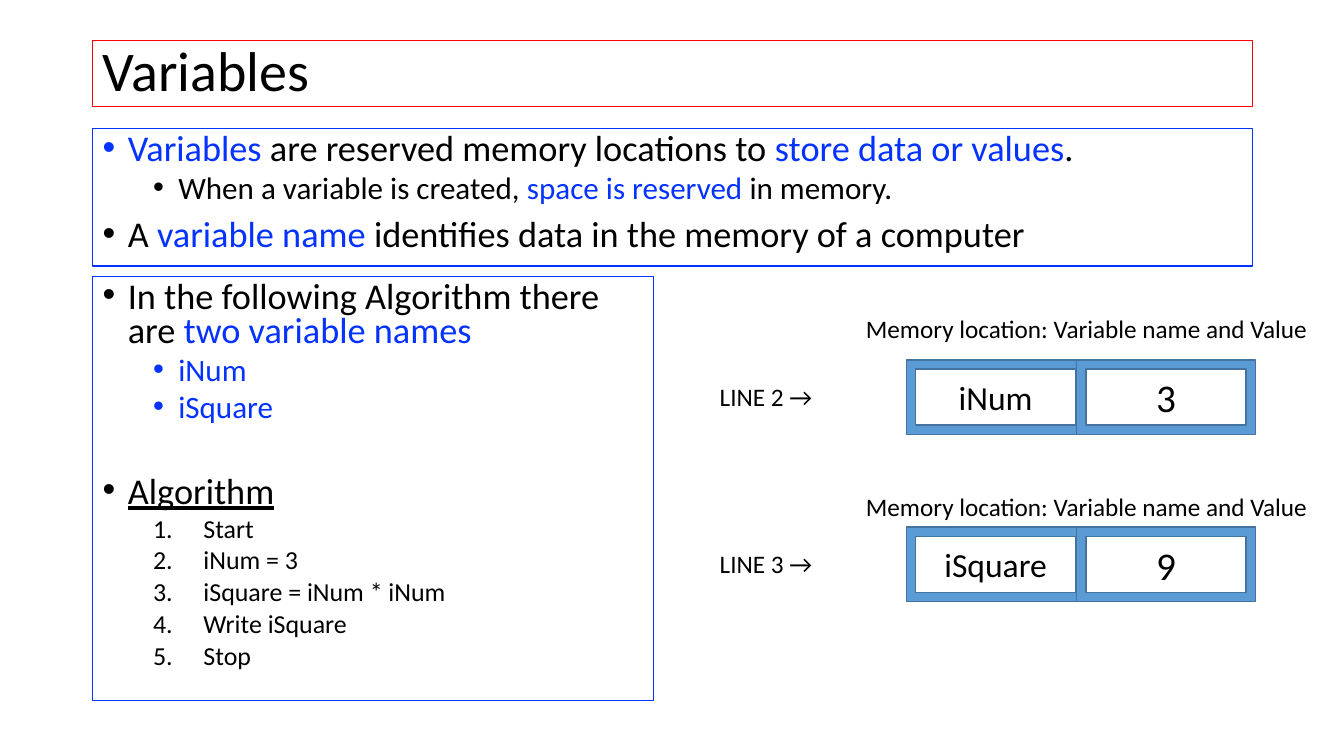
from lxml.etree import SubElement
from pptx import Presentation
from pptx.dml.color import RGBColor
from pptx.enum.shapes import MSO_SHAPE
from pptx.enum.text import MSO_ANCHOR, MSO_AUTO_SIZE, PP_ALIGN
from pptx.oxml.ns import qn
from pptx.util import Pt

PX = 9144  # EMU per px, 100 px to the inch
FONT = "Calibri"
BLACK, BLUE, RED = "000000", "0432FF", "FF0000"
FRAME_FILL, FRAME_LINE = "5B9BD5", "43739E"

TITLE = "Variables"
TITLE_AREA = (92, 40, 1150, 66)

# kind: size in pt, space before in pt, left margin in px, hanging indent in px
KINDS = {
    "point": (25.9, 10, 25, 25),
    "heading": (25.9, 37, 25, 25),
    "detail": (22.2, 5, 75, 25),
    "step": (18.5, 5, 100, 50),
}

# Each line is a kind and its spans of (words, colour)
LISTS = [
    ((92, 128, 1150, 136), [
        ("point", [("Variables", BLUE),
                   (" are reserved memory locations to ", BLACK),
                   ("store data or values", BLUE), (".", BLACK)]),
        ("detail", [("When a variable is created, ", BLACK),
                    ("space is reserved ", BLUE), ("in memory.", BLACK)]),
        ("point", [("A ", BLACK), ("variable name ", BLUE),
                   ("identifies data in the memory of a computer", BLACK)]),
    ]),
    ((92, 274, 556, 421), [
        ("point", [("In the following Algorithm there are", BLACK),
                   (" two variable names", BLUE)]),
        ("detail", [("iNum", BLUE)]),
        ("detail", [("iSquare", BLUE)]),
        ("heading", [("Algorithm", BLACK)]),
        ("step", [("Start", BLACK)]),
        ("step", [("iNum = 3", BLACK)]),
        ("step", [("iSquare = iNum * iNum", BLACK)]),
        ("step", [("Write iSquare", BLACK)]),
        ("step", [("Stop", BLACK)]),
    ]),
]

CAPTION = "Memory location: Variable name and Value"
# line label, variable name, value, top of caption, top of frames
MEMORY = [
    ("LINE 2 →", "iNum", "3", 306, 357),
    ("LINE 3 →", "iSquare", "9", 483, 523),
]
CAPTION_LEFT, LABEL_LEFT, LABEL_DROP = 849, 704, 16
NAME_LEFT, VALUE_LEFT = 899, 1068
FRAME_WIDTH, FRAME_HEIGHT = 177, 74


def emu(area):
    return [length * PX for length in area]


def colour(value):
    return RGBColor.from_string(value)


def outline(shape, value, width):
    shape.line.color.rgb = colour(value)
    shape.line.width = Pt(width)


def set_font(font, size):
    font.name = FONT
    font.size = Pt(size)
    font.color.rgb = colour(BLACK)


def add_bullet(para, kind, margin, hanging):
    properties = para._p.get_or_add_pPr()
    properties.set("marL", str(margin * PX))
    properties.set("indent", str(-hanging * PX))
    SubElement(properties, qn("a:buFont"), typeface="Calibri" if kind == "step" else "Arial")
    if kind == "step":
        SubElement(properties, qn("a:buAutoNum"), type="arabicPeriod")
    else:
        SubElement(properties, qn("a:buChar"), char="•")


def add_list(page, area, lines):
    box = page.shapes.add_textbox(*emu(area))
    outline(box, BLUE, 0.75)
    frame = box.text_frame
    frame.word_wrap = True
    for index, (kind, spans) in enumerate(lines):
        size, before, margin, hanging = KINDS[kind]
        para = frame.add_paragraph() if index else frame.paragraphs[0]
        para.level = 0 if kind in ("point", "heading") else 1
        para.line_spacing = 0.8
        para.space_before = Pt(before)
        add_bullet(para, kind, margin, hanging)
        set_font(para.font, size)
        para.font.underline = kind == "heading"
        for words, shade in spans:
            span = para.add_run()
            span.text = words
            span.font.color.rgb = colour(shade)


def add_label(page, words, area):
    box = page.shapes.add_textbox(*emu(area))
    box.text_frame.word_wrap = True
    para = box.text_frame.paragraphs[0]
    para.text = words
    set_font(para.font, 18)


def add_frame(group, words, left, top, size):
    area = emu((left, top, FRAME_WIDTH, FRAME_HEIGHT))
    cell = group.shapes.add_shape(MSO_SHAPE.FRAME, *area)
    cell.shadow.inherit = False
    cell.fill.solid()
    cell.fill.fore_color.rgb = colour(FRAME_FILL)
    outline(cell, FRAME_LINE, 1)
    cell.text_frame.vertical_anchor = MSO_ANCHOR.MIDDLE
    para = cell.text_frame.paragraphs[0]
    para.text = words
    para.alignment = PP_ALIGN.CENTER
    set_font(para.font, size)


def add_title(page):
    title = page.shapes.title
    title.left, title.top, title.width, title.height = emu(TITLE_AREA)
    outline(title, RED, 0.75)
    title.text_frame.auto_size = MSO_AUTO_SIZE.NONE
    title.text_frame.vertical_anchor = MSO_ANCHOR.MIDDLE
    para = title.text_frame.paragraphs[0]
    para.text = TITLE
    para.alignment = PP_ALIGN.LEFT
    para.line_spacing = 0.9
    set_font(para.font, 40)


def main():
    deck = Presentation()
    deck.slide_width, deck.slide_height = emu((1333, 750))
    page = deck.slides.add_slide(deck.slide_layouts[5])
    add_title(page)
    for area, lines in LISTS:
        add_list(page, area, lines)
    for label, name, value, caption_top, frame_top in MEMORY:
        add_label(page, CAPTION, (CAPTION_LEFT, caption_top, 467, 40))
        add_label(page, label, (LABEL_LEFT, frame_top + LABEL_DROP, 140, 40))
        group = page.shapes.add_group_shape()
        add_frame(group, name, NAME_LEFT, frame_top, 24)
        add_frame(group, value, VALUE_LEFT, frame_top, 28)
    deck.save("out.pptx")


if __name__ == "__main__":
    main()
